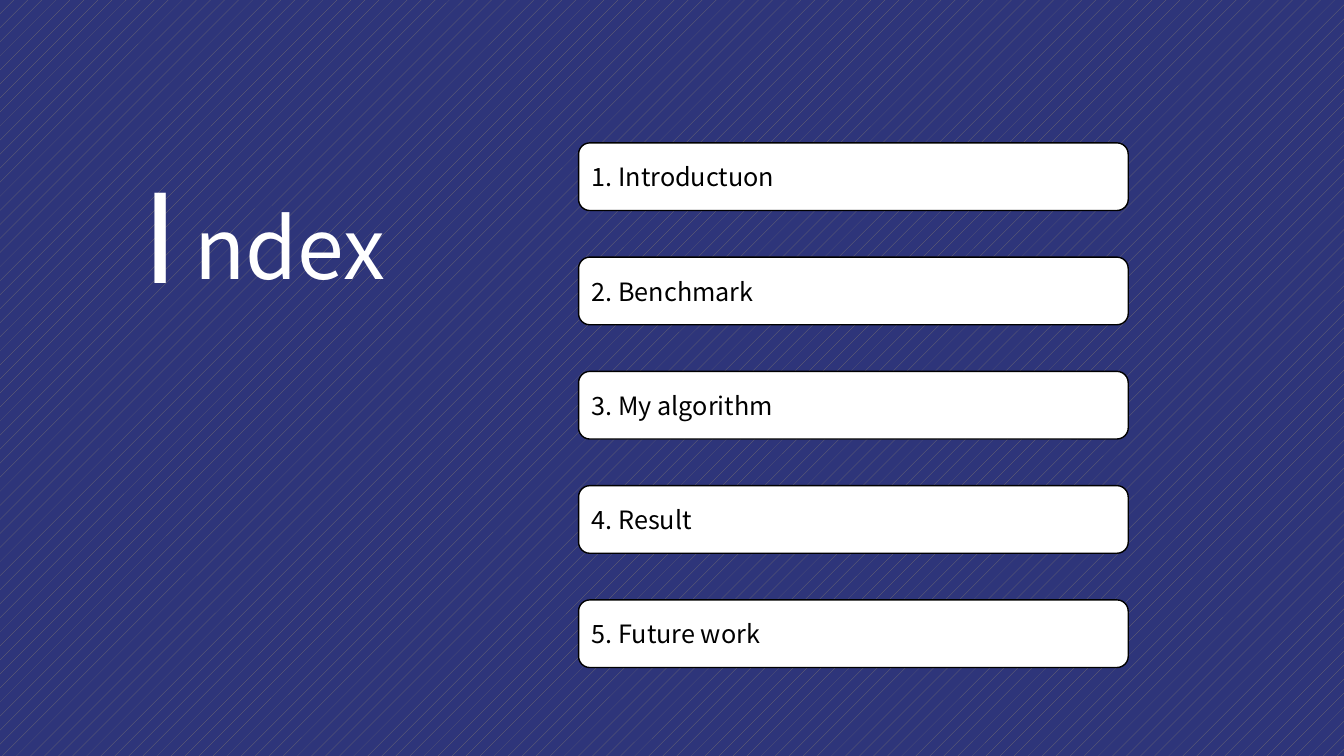
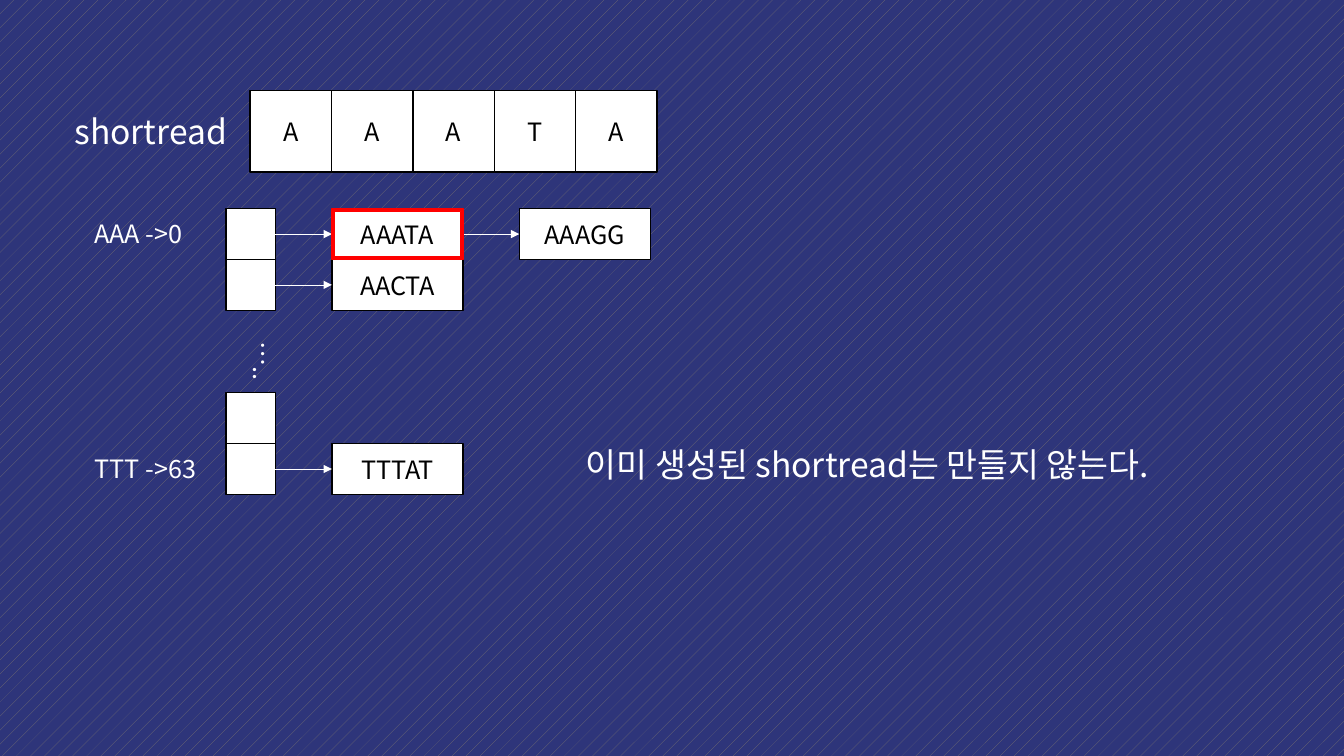
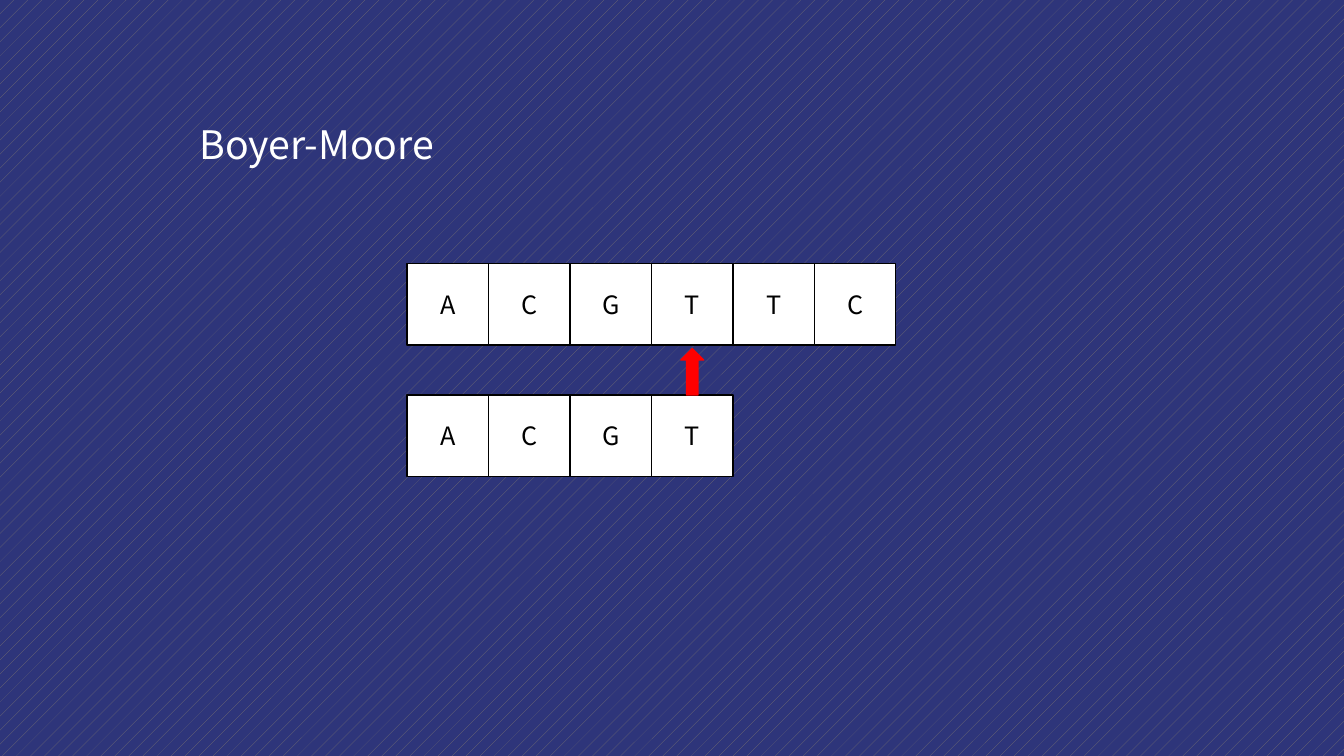
from dataclasses import dataclass

from lxml.etree import SubElement
from pptx import Presentation
from pptx.dml.color import RGBColor
from pptx.enum.dml import MSO_PATTERN
from pptx.enum.shapes import MSO_CONNECTOR, MSO_SHAPE
from pptx.enum.text import MSO_ANCHOR, MSO_AUTO_SIZE, PP_ALIGN
from pptx.oxml.ns import qn
from pptx.util import Inches, Pt


@dataclass(frozen=True)
class Theme:
    font: str = "Noto Sans CJK KR"
    ground: str = "2E357A"
    hatch: str = "767171"
    light: str = "FFFFFF"
    dark: str = "000000"
    accent: str = "FF0000"
    body: int = 18
    note: int = 24
    heading: int = 28
    title: int = 60
    initial: int = 88
    outline: float = 1
    arrow: float = 0.5


THEME = Theme()
LETTER_SIZE = 10.77  # percent of the page height
LEFT_SIDE, RIGHT_SIDE = 1, 3  # connection sites of a rectangle


@dataclass(frozen=True)
class Box:
    """An area in inches, divided into columns and rows."""
    left: float
    top: float
    width: float
    height: float
    columns: float = 100
    rows: float = 100

    def area(self, column, row, across, down, columns=100, rows=100):
        unit_x, unit_y = self.width / self.columns, self.height / self.rows
        return Box(self.left + column * unit_x, self.top + row * unit_y,
                   across * unit_x, down * unit_y, columns, rows)

    def place(self):
        return [Inches(n) for n in (self.left, self.top, self.width, self.height)]


PAGE = Box(0, 0, 13.33, 7.5)


def color(value):
    return RGBColor.from_string(value)


def write(frame, text, size=THEME.body, ink=THEME.light, align=PP_ALIGN.LEFT):
    paragraph = frame.paragraphs[0]
    paragraph.alignment = align
    run = paragraph.add_run()
    run.text = text
    run.font.size = Pt(size)
    run.font.color.rgb = color(ink)
    run.font.name = THEME.font
    east_asian = SubElement(run._r.get_or_add_rPr(), qn("a:ea"))
    east_asian.set("typeface", THEME.font)


def add_label(slide, box, text, vertical=False, **style):
    frame = slide.shapes.add_textbox(*box.place()).text_frame
    frame.word_wrap = True
    frame.auto_size = MSO_AUTO_SIZE.SHAPE_TO_FIT_TEXT
    if vertical:
        frame._txBody.bodyPr.set("vert", "eaVert")
    write(frame, text, **style)


def add_block(slide, box, text="", kind=MSO_SHAPE.RECTANGLE, fill=THEME.light,
              line=THEME.dark, align=PP_ALIGN.CENTER):
    shape = slide.shapes.add_shape(kind, *box.place())
    shape.shadow.inherit = False
    shape.fill.solid()
    shape.fill.fore_color.rgb = color(fill)
    shape.line.color.rgb = color(line)
    shape.line.width = Pt(THEME.outline)
    if text:
        shape.text_frame.vertical_anchor = MSO_ANCHOR.MIDDLE
        write(shape.text_frame, text, ink=THEME.dark, align=align)
    return shape


def add_arrow(slide, source, target):
    arrow = slide.shapes.add_connector(MSO_CONNECTOR.STRAIGHT, 0, 0, 0, 0)
    arrow.begin_connect(source, RIGHT_SIDE)
    arrow.end_connect(target, LEFT_SIDE)
    arrow.line.color.rgb = color(THEME.light)
    arrow.line.width = Pt(THEME.arrow)
    properties = arrow._element.spPr
    SubElement(properties.find(qn("a:ln")), qn("a:tailEnd")).set("type", "triangle")
    SubElement(properties, qn("a:effectLst"))


def add_letters(slide, page, column, row, letters):
    """Draw a row of square cells; return the box of each cell."""
    side = page.height * LETTER_SIZE / 100
    start = page.area(column, row, 0, 0)
    cells = [Box(start.left + i * side, start.top, side, side)
             for i in range(len(letters))]
    for cell, letter in zip(cells, letters):
        add_block(slide, cell, letter)
    return cells


def add_entries(slide, box, entries):
    """Stack the entries with equal gaps, filling the height of the box."""
    height = 12.9
    pitch = (box.rows - height) / (len(entries) - 1)
    for i, entry in enumerate(entries):
        add_block(slide, box.area(0, i * pitch, box.columns, height),
                  f"{i + 1}. {entry}", kind=MSO_SHAPE.ROUNDED_RECTANGLE,
                  align=PP_ALIGN.LEFT)


def add_hash_table(slide, box):
    """Draw buckets, each with its label and its chain of reads."""
    bucket_column, bucket_width = 2.5, 0.87
    node_columns, node_width = (4.37, 7.68), 2.32
    buckets = [
        (0, "AAA ->0", ["AAATA", "AAAGG"]),
        (1, "", ["AACTA"]),
        (3.62, "", []),
        (4.62, "TTT ->63", ["TTTAT"]),
    ]
    for row, label, reads in buckets:
        if label:
            add_label(slide, box.area(0, row + 0.1, 2.62, 0.8), label)
        previous = add_block(slide, box.area(bucket_column, row, bucket_width, 1))
        for column, read in zip(node_columns, reads):
            node = add_block(slide, box.area(column, row, node_width, 1), read)
            add_arrow(slide, previous, node)
            previous = node
    add_label(slide, box.area(2.62, 2.42, 0.89, 1.31), "…..", vertical=True)
    highlight = add_block(slide, box.area(node_columns[0], 0, node_width, 1),
                          kind=MSO_SHAPE.FRAME, fill=THEME.accent, line=THEME.accent)
    highlight.adjustments[0] = 0.05


def index_slide(slide, page):
    add_label(slide, page.area(9.9, 20.5, 31.1, 21.1), "I", size=THEME.initial)
    add_label(slide, page.area(13.7, 25.2, 27.3, 14.8), "ndex", size=THEME.title)
    add_entries(slide, page.area(43.05, 18.9, 40.9, 69.4),
                ["Introductuon", "Benchmark", "My algorithm", "Result", "Future work"])


def hashing_slide(slide, page):
    add_letters(slide, page, 18.6, 12, "AAATA")
    add_hash_table(slide, page.area(6.3, 27.6, 42.1, 37.8, columns=10, rows=5.62))
    add_label(slide, page.area(42.85, 58, 47.5, 6.7),
              "이미 생성된 shortread는 만들지 않는다.", size=THEME.note)
    add_label(slide, page.area(4.8, 14, 15.2, 6.7), "shortread", size=THEME.note)


def matching_slide(slide, page):
    add_letters(slide, page, 30.3, 34.9, "ACGTTC")
    compared = add_letters(slide, page, 30.3, 52.25, "ACGT")[-1]
    add_block(slide, compared.area(36, -57, 28, 57), kind=MSO_SHAPE.UP_ARROW,
              fill=THEME.accent, line=THEME.accent)
    add_label(slide, page.area(14.1, 15.2, 22.3, 7.6), "Boyer-Moore",
              size=THEME.heading)


def main():
    presentation = Presentation()
    presentation.slide_width = Inches(PAGE.width)
    presentation.slide_height = Inches(PAGE.height)
    background = presentation.slide_master.background.fill
    background.patterned()
    background.pattern = MSO_PATTERN.PERCENT_5
    background.fore_color.rgb = color(THEME.hatch)
    background.back_color.rgb = color(THEME.ground)
    blank = presentation.slide_layouts[6]
    for build in (index_slide, hashing_slide, matching_slide):
        build(presentation.slides.add_slide(blank), PAGE)
    presentation.save("out.pptx")


if __name__ == "__main__":
    main()
